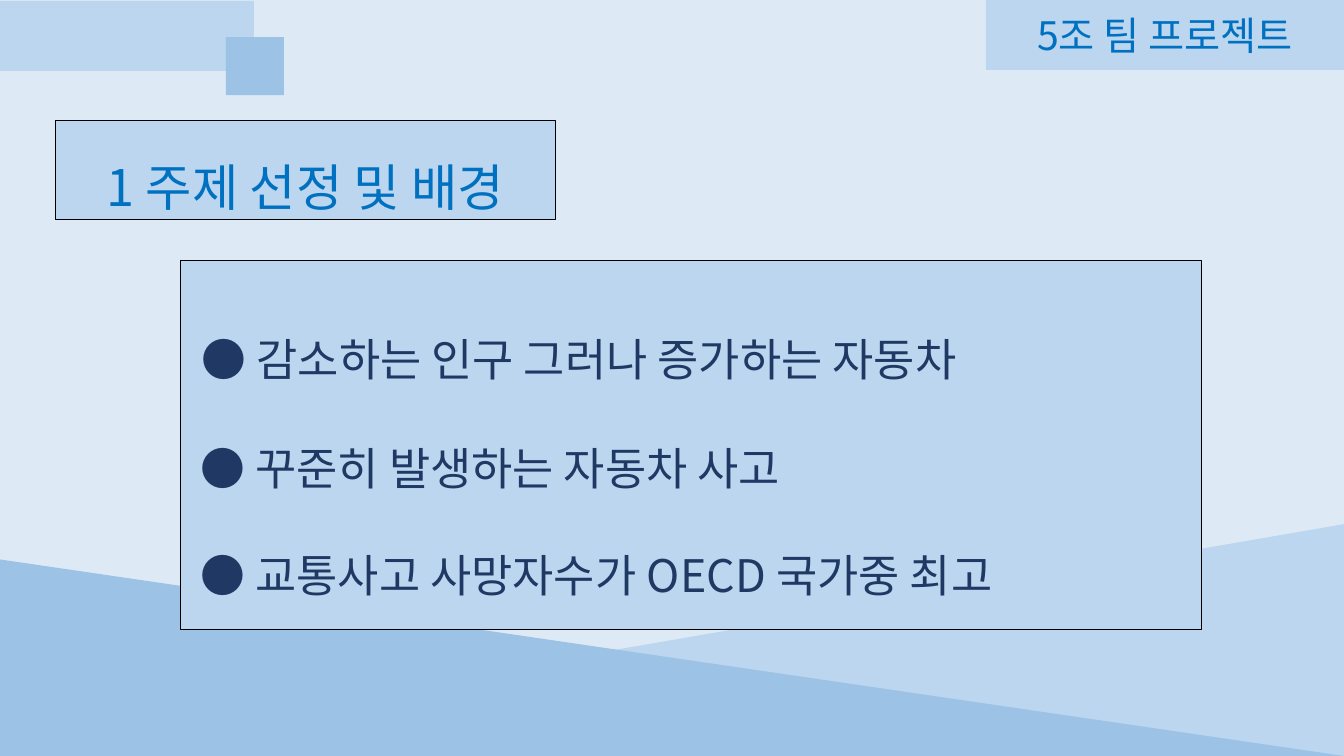
"""Build the topic and background slide of a team project deck."""
import pptx
import pptx.util
import pptx.dml.color
import pptx.enum.shapes
import pptx.enum.text
import pptx.oxml.ns
import lxml.etree

Pt = pptx.util.Pt
SHAPES = pptx.enum.shapes.MSO_SHAPE
ALIGN = pptx.enum.text.PP_ALIGN
ANCHOR = pptx.enum.text.MSO_ANCHOR
FIT = pptx.enum.text.MSO_AUTO_SIZE

THEME = {
    "font": "Noto Sans CJK KR",
    "back": "DDEAF6", "panel": "BBD6EE", "accent": "9CC2E5",
    "title": "0070C0", "body": "1F3864", "line": "000000",
    "label_size": 28, "title_size": 36, "body_size": 32, "line_width": 0.75,
}
PAGE_WIDTH, PAGE_HEIGHT = 960, 540

LABEL = [[("5조 팀 프로젝트", "label_size", "title")]]
HEADING = [[("1 주제 선정 및 배경", "title_size", "title")]]
POINTS = [
    [(" ", "title_size", "title"),
     ("● 감소하는 인구 그러나 증가하는 자동차", "body_size", "body")],
    [(" ● 꾸준히 발생하는 자동차 사고", "body_size", "body")],
    [(" ● 교통사고 사망자수가 OECD 국가중 최고", "body_size", "body")],
]


def color(name):
    return pptx.dml.color.RGBColor.from_string(THEME[name])


def add_box(page, kind, left, top, width, height, fill, outlined=False):
    box = page.shapes.add_shape(kind, Pt(left), Pt(top), Pt(width), Pt(height))
    box.shadow.inherit = False
    box.fill.solid()
    box.fill.fore_color.rgb = color(fill)
    if outlined:
        box.line.color.rgb = color("line")
        box.line.width = Pt(THEME["line_width"])
    else:
        box.line.fill.background()
    return box


def add_hill(page, height, fill, flipped=False):
    hill = add_box(page, SHAPES.RIGHT_TRIANGLE, 0, PAGE_HEIGHT - height,
                   PAGE_WIDTH, height, fill)
    if flipped:
        hill._element.spPr.xfrm.set("flipH", "1")


def write(box, paragraphs, frame_format, para_format):
    frame = box.text_frame
    frame.word_wrap = True
    for name, value in frame_format.items():
        setattr(frame, name, value)
    for index, pieces in enumerate(paragraphs):
        para = frame.add_paragraph() if index else frame.paragraphs[0]
        for name, value in para_format.items():
            setattr(para, name, value)
        for text, size, ink in pieces:
            span = para.add_run()
            span.text = text
            span.font.color.rgb = color(ink)
            for name, value in {"size": Pt(THEME[size]), "name": THEME["font"]}.items():
                setattr(span.font, name, value)
            east_asian = lxml.etree.SubElement(
                span.font._element, pptx.oxml.ns.qn("a:ea"))
            east_asian.set("typeface", THEME["font"])


def main():
    deck = pptx.Presentation()
    deck.slide_width, deck.slide_height = Pt(PAGE_WIDTH), Pt(PAGE_HEIGHT)
    page = deck.slides.add_slide(deck.slide_layouts[6])
    page.background.fill.solid()
    page.background.fill.fore_color.rgb = color("back")

    add_hill(page, 165.6, "panel", flipped=True)
    add_hill(page, 140.4, "accent")

    growing = {"vertical_anchor": ANCHOR.TOP, "auto_size": FIT.SHAPE_TO_FIT_TEXT}
    label = add_box(page, SHAPES.RECTANGLE, 704.2, 0, 255.8, 50, "panel")
    write(label, LABEL, {"vertical_anchor": ANCHOR.MIDDLE},
          {"alignment": ALIGN.CENTER})
    heading = add_box(page, SHAPES.RECTANGLE, 39.5, 86.2, 357.3, 70.6, "panel", True)
    write(heading, HEADING, growing,
          {"alignment": ALIGN.CENTER, "line_spacing": 1.5})
    points = add_box(page, SHAPES.RECTANGLE, 129, 186.2, 729.3, 263.5, "panel", True)
    write(points, POINTS, growing,
          {"alignment": ALIGN.LEFT, "line_spacing": 2.0})

    add_box(page, SHAPES.RECTANGLE, 0, 0.7, 181.4, 50, "panel")
    add_box(page, SHAPES.RECTANGLE, 161.4, 26.5, 41.4, 41.4, "accent")
    deck.save("out.pptx")


if __name__ == "__main__":
    main()
